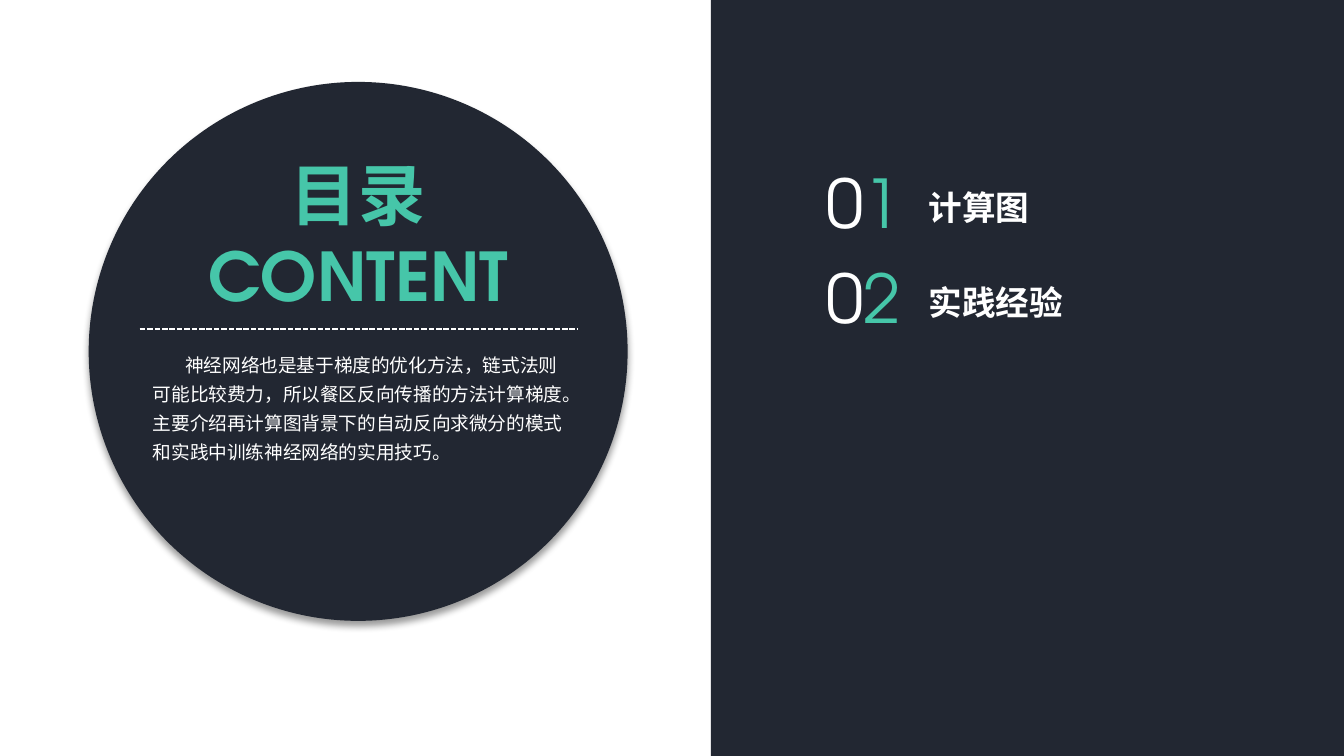
"""Build the contents slide with a round heading panel and numbered topics."""
from lxml import etree
from pptx import Presentation
from pptx import util as u
from pptx.dml.color import RGBColor
from pptx.enum import dml, shapes, text
from pptx.oxml import ns

NAVY = RGBColor(0x22, 0x27, 0x32)
MINT = RGBColor(0x46, 0xC6, 0xA9)
WHITE = RGBColor(0xFF, 0xFF, 0xFF)
SLIDE_WIDTH = 10
SLIDE_HEIGHT = SLIDE_WIDTH * 9 / 16


class ContentsSlide:
    """Hold the style and the slide, with a method for each kind of element."""

    latin = "TeX Gyre Adventor"
    heading = "Arial"

    def __init__(self, deck):
        self.slide = deck.slides.add_slide(deck.slide_layouts[5])

    def panel(self, kind, left, top, width, height):
        panel = self.slide.shapes.add_shape(kind, *map(u.Inches, (left, top, width, height)))
        panel.shadow.inherit = False
        panel.fill.solid()
        panel.fill.fore_color.rgb = NAVY
        panel.line.fill.background()
        return panel

    def drop_shadow(self, panel, blur, distance, opacity):
        effects = panel._element.spPr.find(ns.qn("a:effectLst"))
        shadow = etree.SubElement(
            effects, ns.qn("a:outerShdw"), blurRad=str(u.Pt(blur)), dist=str(u.Pt(distance)),
            dir=str(90 * 60000), algn="t", rotWithShape="0")
        color = etree.SubElement(shadow, ns.qn("a:srgbClr"), val="000000")
        etree.SubElement(color, ns.qn("a:alpha"), val=str(opacity * 1000))

    def dashed_rule(self, left, right, top):
        rule = self.slide.shapes.add_connector(
            shapes.MSO_CONNECTOR.STRAIGHT, *map(u.Inches, (left, top, right, top)))
        rule.line.color.rgb = WHITE
        rule.line.width = u.Pt(1)
        rule.line.dash_style = dml.MSO_LINE.SQUARE_DOT
        etree.SubElement(rule._element.spPr, ns.qn("a:effectLst"))

    def style(self, paragraph, size, color=WHITE, bold=False, font=None, spacing=None):
        paragraph.font.name = font or self.latin
        paragraph.font.size = u.Pt(size)
        paragraph.font.bold = bold
        paragraph.font.color.rgb = color
        paragraph.line_spacing = spacing

    def title(self, lines, left, top, width, height):
        title = self.slide.shapes.title
        title.left, title.top, title.width, title.height = map(
            u.Inches, (left, top, width, height))
        self.slide.shapes._spTree.append(title._element)
        frame = title.text_frame
        frame.text = "\n".join(lines)
        frame.word_wrap = False
        frame.auto_size = text.MSO_AUTO_SIZE.SHAPE_TO_FIT_TEXT
        frame.vertical_anchor = text.MSO_ANCHOR.TOP
        for paragraph, font in zip(frame.paragraphs, (self.heading, self.latin)):
            self.style(paragraph, 36, MINT, bold=True, font=font)
            paragraph.alignment = text.PP_ALIGN.CENTER

    def label(self, words, left, top, width, height, size, wrap=True, indent=0, **style):
        box = self.slide.shapes.add_textbox(*map(u.Inches, (left, top, width, height)))
        frame = box.text_frame
        frame.word_wrap = wrap
        frame.auto_size = text.MSO_AUTO_SIZE.SHAPE_TO_FIT_TEXT
        paragraph = frame.paragraphs[0]
        for word in words:
            paragraph.add_run().text = word
        self.style(paragraph, size, **style)
        if indent:
            paragraph._p.get_or_add_pPr().set("indent", str(u.Inches(indent)))
        return paragraph

    def topic(self, number, name, top):
        self.label([name], 6.81, top + 0.1, 2.53, 0.46, 18, bold=True, spacing=1.3)
        digits = self.label(f"{number:02d}", 6.05, top, 0.76, 0.71, 36, wrap=False)
        digits.runs[1].font.color.rgb = MINT


def main():
    deck = Presentation()
    deck.slide_width, deck.slide_height = u.Inches(SLIDE_WIDTH), u.Inches(SLIDE_HEIGHT)
    contents = ContentsSlide(deck)
    contents.panel(shapes.MSO_SHAPE.RECTANGLE, 5.29, 0, SLIDE_WIDTH - 5.29, SLIDE_HEIGHT)
    circle = contents.panel(shapes.MSO_SHAPE.OVAL, 0.66, 0.61, 4.01, 4.01)
    contents.drop_shadow(circle, blur=4, distance=3, opacity=40)
    contents.dashed_rule(1.04, 4.3, 2.45)
    contents.title(["目录", "CONTENT"], 1.44, 1.09, 2.45, 1.31)
    summary = (
        "神经网络也是基于梯度的优化方法，链式法则可能比较费力，"
        "所以餐区反向传播的方法计算梯度。"
        "主要介绍再计算图背景下的自动反向求微分的模式和实践中训练神经网络的实用技巧。")
    contents.label([summary], 1.04, 2.53, 3.26, 0.98, 10, indent=0.24, spacing=1.3)
    for index, name in enumerate(["计算图", "实践经验"]):
        contents.topic(index + 1, name, 1.15 + 0.71 * index)
    deck.save("out.pptx")


if __name__ == "__main__":
    main()
